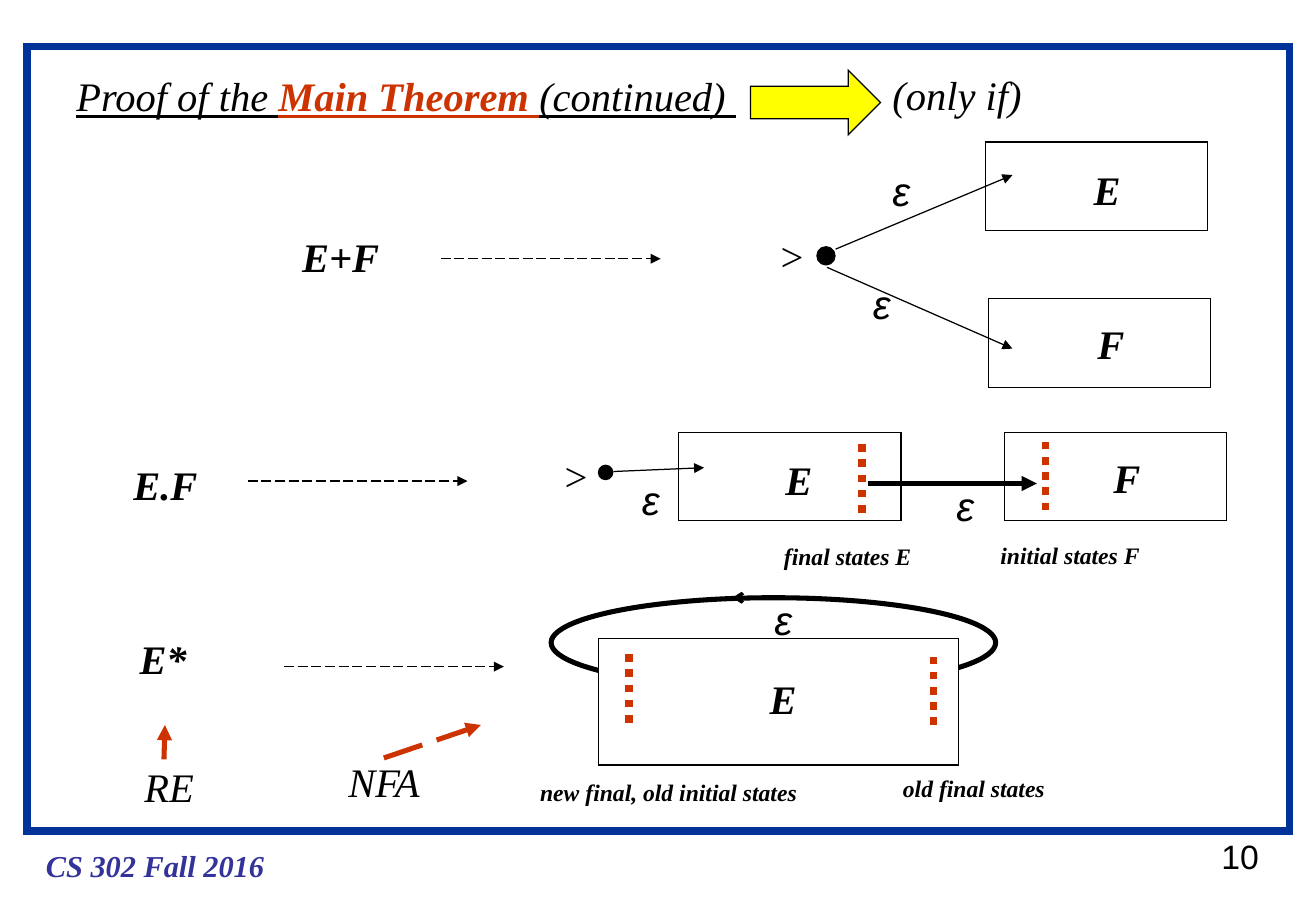
from lxml import etree
from pptx import Presentation
from pptx.dml.color import RGBColor
from pptx.enum.dml import MSO_LINE
from pptx.enum.shapes import MSO_CONNECTOR, MSO_SHAPE
from pptx.enum.text import MSO_AUTO_SIZE
from pptx.oxml.ns import qn
from pptx.util import Cm, Pt

COLORS = {
    "black": "000000",
    "white": "FFFFFF",
    "frame": "003399",
    "footer": "333399",
    "accent": "CC3300",
    "yellow": "FFFF00",
}
SERIF = "Times New Roman"
FORMATS = {
    "plain": {"name": SERIF, "size": Pt(24), "italic": True},
    "title": {"name": SERIF, "size": Pt(24), "italic": True, "underline": True},
    "theorem": {"name": SERIF, "size": Pt(24), "italic": True, "underline": True, "bold": True},
    "expression": {"name": SERIF, "size": Pt(24), "italic": True, "bold": True},
    "caption": {"name": SERIF, "size": Pt(14), "italic": True, "bold": True},
    "footer": {"name": SERIF, "size": Pt(18), "italic": True, "bold": True},
    "epsilon": {"name": "Arial", "size": Pt(24), "italic": True},
    "number": {"name": "Arial", "size": Pt(20)},
}
BOX_WIDTH, BOX_HEIGHT = 4.65, 1.85
DASH_LENGTH = 4.6


def rgb(color):
    return RGBColor.from_string(COLORS[color])


def add_runs(slide, left, top, width, runs):
    """Add a one-line text box; each run is (text, format name, colour)."""
    height = 0.36 + FORMATS[runs[0][1]]["size"].pt * 0.038
    box = slide.shapes.add_textbox(Cm(left), Cm(top), Cm(width), Cm(height))
    box.text_frame.word_wrap = False
    box.text_frame.auto_size = MSO_AUTO_SIZE.SHAPE_TO_FIT_TEXT
    paragraph = box.text_frame.paragraphs[0]
    for text, style, color in runs:
        run = paragraph.add_run()
        run.text = text
        for attribute, value in FORMATS[style].items():
            setattr(run.font, attribute, value)
        run.font.color.rgb = rgb(color)


def add_label(slide, text, left, top, width, style="expression", color="black"):
    add_runs(slide, left, top, width, [(text, style, color)])


def add_epsilon(slide, left, top):
    add_label(slide, "ε", left, top, 0.86, "epsilon")


def add_outline(slide, kind, left, top, width, height, fill=None, line="black", weight=0.75):
    """Add a preset shape with sharp corners."""
    shape = slide.shapes.add_shape(kind, Cm(left), Cm(top), Cm(width), Cm(height))
    shape.shadow.inherit = False
    if fill:
        shape.fill.solid()
        shape.fill.fore_color.rgb = rgb(fill)
    else:
        shape.fill.background()
    shape.line.color.rgb = rgb(line)
    shape.line.width = Pt(weight)
    etree.SubElement(shape.get_or_add_ln(), qn("a:miter"), lim="800000")


def add_line(slide, start, end, color="black", weight=0.75, dash=None, head="triangle"):
    points = [Cm(value) for value in (*start, *end)]
    connector = slide.shapes.add_connector(MSO_CONNECTOR.STRAIGHT, *points)
    connector.line.color.rgb = rgb(color)
    connector.line.width = Pt(weight)
    if dash:
        connector.line.dash_style = dash
    if head:
        etree.SubElement(connector.get_or_add_ln(), qn("a:tailEnd"), type=head)
    etree.SubElement(connector._element.spPr, qn("a:effectLst"))


def add_automaton(slide, name, left, top, label_left, label_top):
    add_outline(slide, MSO_SHAPE.RECTANGLE, left, top, BOX_WIDTH, BOX_HEIGHT)
    add_label(slide, name, label_left, label_top, 1.07)


def add_start_state(slide, left, top, size, mark_left, mark_top):
    add_label(slide, ">", mark_left, mark_top, 1.07, "plain")
    add_outline(slide, MSO_SHAPE.OVAL, left, top, size, size, fill="black")


def add_state_column(slide, x, bottom, top):
    add_line(slide, (x, bottom), (x, top), "accent", 4.5, MSO_LINE.ROUND_DOT, None)


def add_rule(slide, expression, left, top, width, dash_left, dash_top):
    """Add a regular expression and the dashed arrow to its automaton."""
    add_label(slide, expression, left, top, width)
    add_line(slide, (dash_left, dash_top), (dash_left + DASH_LENGTH, dash_top),
             dash=MSO_LINE.LONG_DASH)


def add_frame_and_title(slide):
    add_outline(slide, MSO_SHAPE.RECTANGLE, 0.56, 0.97, 26.42, 16.41, line="frame", weight=4.5)
    add_label(slide, "CS 302 Fall 2016", 0.71, 17.6, 5.08, "footer", "footer")
    add_label(slide, "10", 25.3, 17.35, 1.3, "number")
    add_runs(slide, 1.35, 1.37, 14.33, [
        ("Proof of the ", "title", "black"),
        ("Main Theorem ", "theorem", "accent"),
        ("(continued) ", "title", "black"),
    ])
    add_outline(slide, MSO_SHAPE.RIGHT_ARROW, 15.7, 1.47, 2.72, 1.35, fill="yellow")
    add_label(slide, "(only if)", 18.42, 1.35, 3.35, "plain")


def add_union(slide):
    add_rule(slide, "E+F", 6.07, 4.72, 2.26, 9.22, 5.41)
    add_start_state(slide, 17.09, 5.16, 0.38, 16.03, 4.7)
    add_automaton(slide, "E", 20.62, 2.97, 22.63, 3.33)
    add_automaton(slide, "F", 20.68, 6.25, 22.71, 6.55)
    add_line(slide, (17.48, 5.21), (21.18, 3.66))
    add_line(slide, (17.3, 5.59), (21.18, 7.29))
    add_epsilon(slide, 18.42, 3.35)
    add_epsilon(slide, 18.01, 5.72)


def add_concatenation(slide):
    add_rule(slide, "E.F", 2.54, 9.5, 1.85, 5.18, 10.06)
    add_start_state(slide, 12.52, 9.73, 0.3, 11.51, 9.3)
    add_automaton(slide, "E", 14.2, 9.04, 16.18, 9.4)
    add_automaton(slide, "F", 21.01, 9.04, 23.04, 9.35)
    add_line(slide, (12.83, 9.86), (14.73, 9.78))
    add_line(slide, (18.16, 10.11), (21.69, 10.11), weight=3)
    add_epsilon(slide, 13.18, 9.8)
    add_epsilon(slide, 19.76, 9.93)
    add_state_column(slide, 18.03, 10.72, 9.25)
    add_state_column(slide, 21.87, 10.67, 9.1)
    add_label(slide, "final states E", 16.15, 11.2, 3.18, "caption")
    add_label(slide, "initial states F", 20.68, 11.18, 3.43, "caption")


def add_star(slide):
    add_rule(slide, "E*", 2.67, 13.13, 1.5, 5.94, 13.94)
    add_outline(slide, MSO_SHAPE.OVAL, 11.53, 12.5, 9.3, 1.88, weight=3)
    add_outline(slide, MSO_SHAPE.RECTANGLE, 12.52, 13.36, 7.54, 2.64, fill="white")
    add_state_column(slide, 13.16, 15.11, 13.64)
    add_state_column(slide, 19.53, 15.16, 13.69)
    add_label(slide, "E", 15.85, 13.97, 1.07)
    add_epsilon(slide, 15.95, 12.32)
    add_line(slide, (15.98, 12.5), (15.32, 12.5), weight=2, head="arrow")
    add_label(slide, "new final, old initial states", 11.05, 16.15, 5.99, "caption")
    add_label(slide, "old final states", 18.64, 16.05, 3.48, "caption")


def add_column_names(slide):
    add_label(slide, "RE", 2.77, 15.8, 1.65, "plain")
    add_label(slide, "NFA", 7.04, 15.7, 2.11, "plain")
    for start, end in (((3.43, 15.88), (3.45, 15.16)), ((8.03, 15.85), (10.06, 15.16))):
        add_line(slide, start, end, "accent", 3, MSO_LINE.LONG_DASH)


def main():
    presentation = Presentation()
    presentation.slide_width = Cm(27.53)
    presentation.slide_height = Cm(19.05)
    slide = presentation.slides.add_slide(presentation.slide_layouts[6])
    for add_part in (add_frame_and_title, add_union, add_concatenation, add_star,
                     add_column_names):
        add_part(slide)
    presentation.save("out.pptx")


if __name__ == "__main__":
    main()
